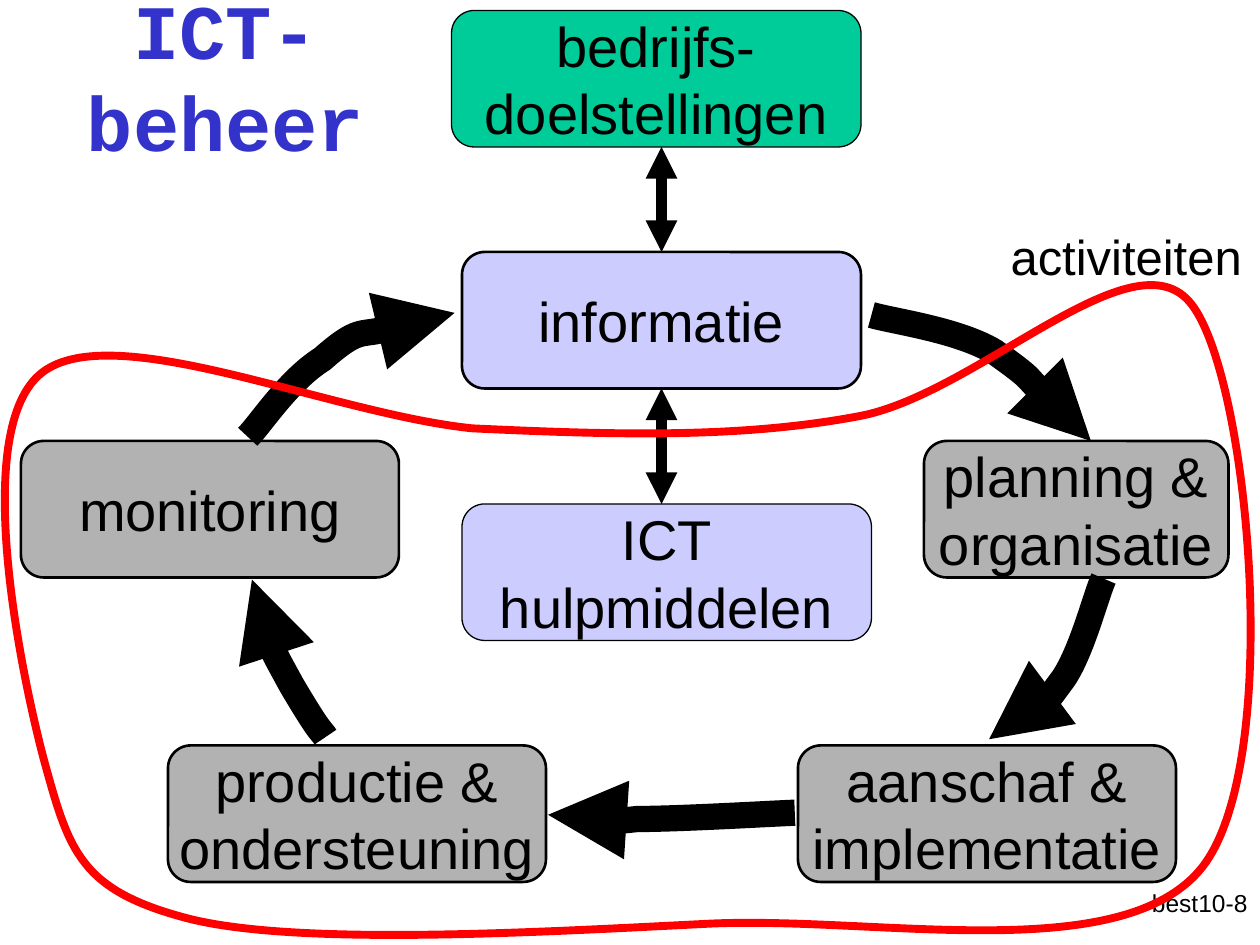
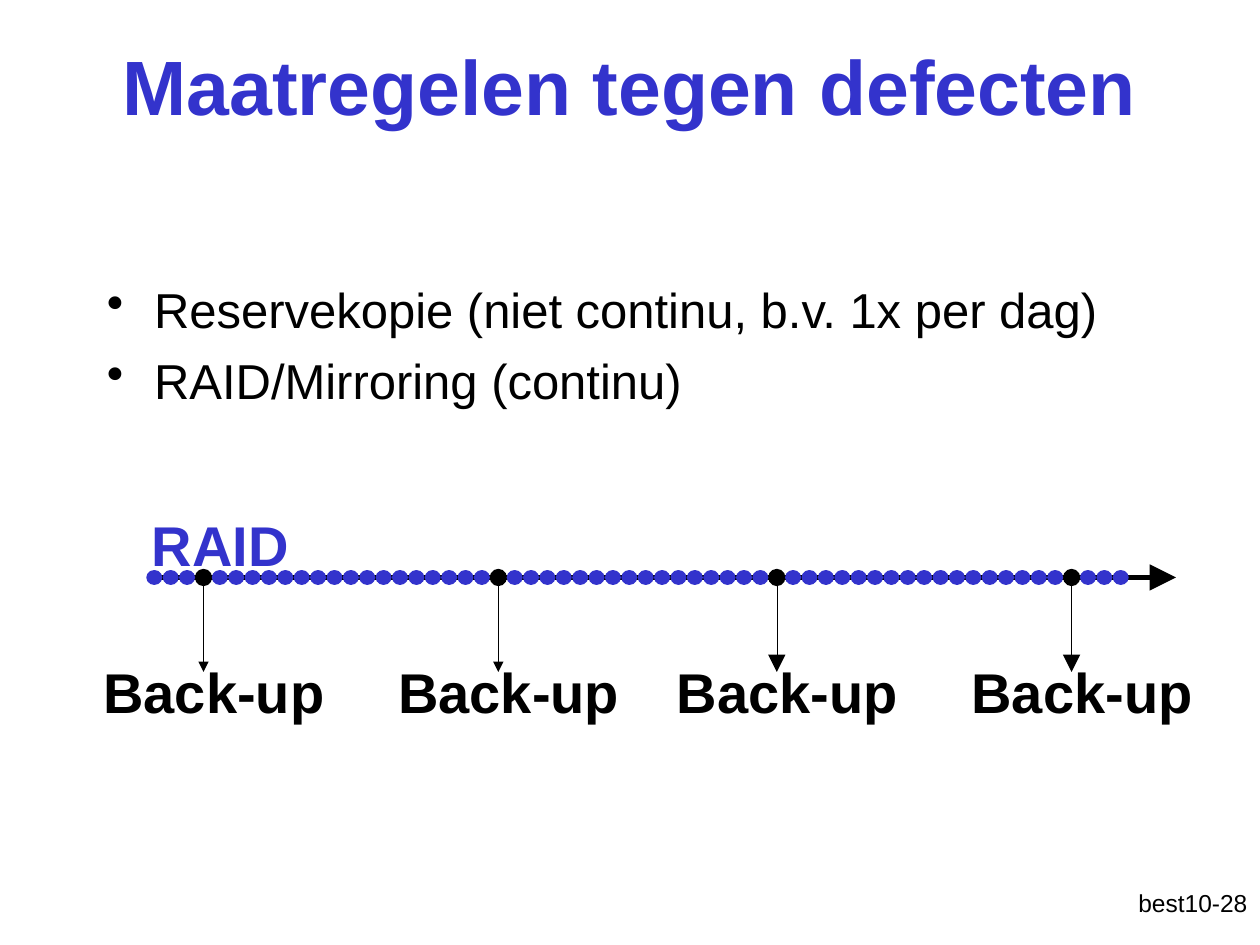
"""Builds two slides on ICT management and protection against defects."""
import dataclasses
import typing

import lxml.etree
import pptx
import pptx.dml.color
import pptx.enum.shapes
import pptx.enum.text
import pptx.oxml.ns
import pptx.util

COLUMNS, ROWS = 120, 90
CELL = pptx.util.Inches(10) // COLUMNS
FREEFORM_UNITS = 100
COLORS = {
    "text": "000000",
    "title": "3333CC",
    "goal": "00CC99",
    "resource": "CCCCFF",
    "activity": "B2B2B2",
    "boundary": "FF0000",
}
ALIGN = pptx.enum.text.PP_ALIGN
MIDDLE = pptx.enum.text.MSO_ANCHOR.MIDDLE
GROW = pptx.enum.text.MSO_AUTO_SIZE.SHAPE_TO_FIT_TEXT
SHAPES = pptx.enum.shapes.MSO_SHAPE
Point = tuple[float, float]


@dataclasses.dataclass(frozen=True)
class Area:
    """A rectangle in grid columns and rows."""
    column: float
    row: float
    width: float
    height: float

    def lengths(self) -> list[int]:
        """Return left, top, width and height as slide lengths."""
        return [round(value * CELL) for value in dataclasses.astuple(self)]


@dataclasses.dataclass(frozen=True)
class TextStyle:
    """Font and paragraph format of a text."""
    size: float
    color: str = "text"
    bold: bool = False
    font: str = "Arial"
    align: typing.Any = ALIGN.CENTER
    space_before: float = 0


@dataclasses.dataclass(frozen=True)
class Box:
    """A rounded box of the management cycle."""
    lines: tuple[str, ...]
    area: Area
    color: str
    line_width: float = 1.5


@dataclasses.dataclass(frozen=True)
class Curve:
    """A chain of Bezier segments: a start, then three points a segment."""
    points: tuple[Point, ...]
    color: str = "text"
    width: float = 15
    closed: bool = False


@dataclasses.dataclass(frozen=True)
class Backup:
    """A back-up moment that takes the place of one dot."""
    dot: int
    arrow_size: str


TITLE = TextStyle(44, "title", True)
FOOTER = TextStyle(14, align=ALIGN.RIGHT)
BOX_TEXT = TextStyle(32)
BULLET = TextStyle(28, align=ALIGN.LEFT, space_before=7)
CAPTION = TextStyle(28, space_before=17.5)
BACKUP_LABEL = TextStyle(32, bold=True, space_before=20)
RAID_LABEL = dataclasses.replace(BACKUP_LABEL, color="title")

INFORMATION = Box(("informatie",), Area(44, 24, 38, 13), "resource")
GOALS = Box(("bedrijfs-", "doelstellingen"), Area(43, 1, 39, 13), "goal", 0.75)
RESOURCES = Box(("ICT", "hulpmiddelen"), Area(44, 48, 39, 13), "resource", 0.75)
ACTIVITIES = (
    Box(("planning &", "organisatie"), Area(88, 42, 29, 13), "activity"),
    Box(("aanschaf &", "implementatie"), Area(76, 71, 36, 13), "activity"),
    Box(("productie &", "ondersteuning"), Area(16, 71, 36, 13), "activity"),
    Box(("monitoring",), Area(2, 42, 36, 13), "activity"),
)
CYCLE_ARROWS = (
    Curve(((83, 30), (85, 30.6), (91.2, 31.4), (94.7, 33.5),
           (98.5, 36.2), (102, 40.2), (103.9, 42))),
    Curve(((31, 70.2), (30.5, 69.4), (30.7, 70.2), (27.8, 65.3),
           (25, 60.2), (24.8, 57.2), (24, 55.2))),
    Curve(((23.6, 41.6), (24.8, 40.4), (27.5, 36.2), (30.7, 34.2),
           (34.2, 31.1), (40.7, 30.7), (43.3, 29.8))),
    Curve(((105.1, 55.1), (104.4, 56.6), (103.1, 61.9), (101.3, 64.6),
           (98.5, 68.4), (95.8, 69.2), (94.2, 70.4))),
    Curve(((75.7, 77.4), (73.2, 77.5), (64.7, 78), (60.7, 78),
           (56, 78.5), (54, 77.6), (52.2, 77.6))),
)
ACTIVITY_BOUNDARY = Curve((
    (45, 40.8), (58, 41.4), (70.1, 41.8), (81.5, 39.7),
    (92.9, 37.8), (108, 21.8), (113.5, 29),
    (119, 36.1), (122.3, 72.7), (114.5, 82.6),
    (106.8, 92.3), (83, 87.1), (67, 88),
    (50.9, 88.8), (28.4, 90.1), (18, 87.5),
    (7.6, 84.8), (6.6, 81.1), (4.2, 72.4),
    (1.9, 63.7), (-2.8, 40.8), (4, 35.5),
    (10.8, 30.2), (31.4, 39.4), (45, 40.8),
), "boundary", 4.5, True)

TIMELINE_ROW = 55
DOT_COUNT, DOT_START, DOT_STEP = 60, 14, 1.56
DOT_WIDTH, DOT_HEIGHT = 1.4, 1.3
BACKUPS = (Backup(3, "med"), Backup(21, "med"), Backup(38, "lg"), Backup(56, "lg"))


def rgb(name: str) -> pptx.dml.color.RGBColor:
    """Return a named colour."""
    return pptx.dml.color.RGBColor.from_string(COLORS[name])


def set_all(target: typing.Any, values: dict[str, typing.Any]) -> None:
    """Set each named attribute of the target."""
    for name, value in values.items():
        setattr(target, name, value)


def write(shape: typing.Any, lines: typing.Sequence[str], style: TextStyle,
          **frame_format: typing.Any) -> None:
    """Write one paragraph a line into a shape."""
    frame = shape.text_frame
    set_all(frame, {"word_wrap": True} | frame_format)
    frame.text = "\n".join(lines)
    for paragraph in frame.paragraphs:
        set_all(paragraph, {
            "alignment": style.align,
            "space_before": pptx.util.Pt(style.space_before),
        })
        set_all(paragraph.font, {
            "name": style.font,
            "size": pptx.util.Pt(style.size),
            "bold": style.bold,
        })
        paragraph.font.color.rgb = rgb(style.color)


def add_text(slide: typing.Any, lines: typing.Sequence[str], area: Area,
             style: TextStyle, **frame_format: typing.Any) -> typing.Any:
    """Add a text box."""
    shape = slide.shapes.add_textbox(*area.lengths())
    write(shape, lines, style, **frame_format)
    return shape


def add_bullets(slide: typing.Any, lines: typing.Sequence[str], area: Area) -> None:
    """Add a bulleted list with a hanging indent."""
    shape = add_text(slide, lines, area, BULLET)
    indent = round(4.5 * CELL)
    for paragraph in shape.text_frame.paragraphs:
        properties = paragraph._p.get_or_add_pPr()
        properties.set("marL", str(indent))
        properties.set("indent", str(-indent))
        bullet = lxml.etree.SubElement(properties, pptx.oxml.ns.qn("a:buChar"))
        bullet.set("char", "•")


def style_line(line: typing.Any, color: str, width: float) -> None:
    """Set the colour and width of a line."""
    line.color.rgb = rgb(color)
    line.width = pptx.util.Pt(width)


def add_arrowheads(shape: typing.Any, **ends: tuple[str, str]) -> None:
    """Give a line its heads, each a kind and a size."""
    line = shape.line._get_or_add_ln()
    for end, (kind, size) in ends.items():
        head = lxml.etree.SubElement(line, pptx.oxml.ns.qn(f"a:{end}"))
        for name, value in {"type": kind, "w": size, "len": size}.items():
            head.set(name, value)


def add_shape(slide: typing.Any, kind: typing.Any, area: Area, fill: str,
              line_color: str, line_width: float) -> typing.Any:
    """Add a filled preset shape without a shadow."""
    shape = slide.shapes.add_shape(kind, *area.lengths())
    shape.shadow.inherit = False
    shape.fill.solid()
    shape.fill.fore_color.rgb = rgb(fill)
    style_line(shape.line, line_color, line_width)
    return shape


def add_box(slide: typing.Any, box: Box) -> typing.Any:
    """Add a rounded box with its text."""
    shape = add_shape(slide, SHAPES.ROUNDED_RECTANGLE, box.area, box.color,
                      "text", box.line_width)
    write(shape, box.lines, BOX_TEXT, word_wrap=False, vertical_anchor=MIDDLE)
    return shape


def add_line(slide: typing.Any, start: Point, end: Point, width: float,
             **ends: tuple[str, str]) -> typing.Any:
    """Add a straight line with arrowheads."""
    connector = slide.shapes.add_connector(
        pptx.enum.shapes.MSO_CONNECTOR.STRAIGHT,
        *(round(value * CELL) for value in start + end))
    style_line(connector.line, "text", width)
    add_arrowheads(connector, **ends)
    lxml.etree.SubElement(connector.element.spPr, pptx.oxml.ns.qn("a:effectLst"))
    return connector


def add_curve(slide: typing.Any, curve: Curve) -> typing.Any:
    """Add an unfilled outline of Bezier segments."""
    points = [(x * FREEFORM_UNITS, y * FREEFORM_UNITS) for x, y in curve.points]
    builder = slide.shapes.build_freeform(*points[0], scale=CELL / FREEFORM_UNITS)
    builder.add_line_segments(points[1:], close=curve.closed)
    shape = builder.convert_to_shape()
    steps = list(shape.element.iter(pptx.oxml.ns.qn("a:lnTo")))
    for first in range(0, len(steps), 3):
        bezier = lxml.etree.Element(pptx.oxml.ns.qn("a:cubicBezTo"))
        steps[first].addprevious(bezier)
        for step in steps[first:first + 3]:
            bezier.append(step[0])
            step.getparent().remove(step)
    shape.shadow.inherit = False
    shape.fill.background()
    style_line(shape.line, curve.color, curve.width)
    return shape


def add_slide(presentation: typing.Any, title: str, title_area: Area,
              footer: str, title_font: str = "Arial") -> typing.Any:
    """Add a blank slide with its footer and title."""
    slide = presentation.slides.add_slide(presentation.slide_layouts[6])
    add_text(slide, [footer], Area(95, 84, 25, 6), FOOTER)
    add_text(slide, [title], title_area, dataclasses.replace(TITLE, font=title_font),
             vertical_anchor=MIDDLE)
    return slide


def build_management(presentation: typing.Any) -> None:
    """Build the slide with the management cycle."""
    slide = add_slide(presentation, "ICT-beheer", Area(0.5, -0.4, 42, 15),
                      "best10-8", "Courier New")
    for box in (GOALS, RESOURCES) + ACTIVITIES:
        add_box(slide, box)
    information = add_box(slide, INFORMATION)
    triangle = ("triangle", "med")
    for curve in CYCLE_ARROWS:
        add_arrowheads(add_curve(slide, curve), tailEnd=triangle)
    both_ends = {"headEnd": triangle, "tailEnd": triangle}
    add_line(slide, (63, 37), (63, 48), 6, **both_ends).begin_connect(information, 2)
    add_line(slide, (63, 14), (63, 24), 6, **both_ends).end_connect(information, 0)
    add_curve(slide, ACTIVITY_BOUNDARY)
    add_text(slide, ["activiteiten"], Area(80.8, 21, 52.9, 6.8), CAPTION, auto_size=GROW)


def build_measures(presentation: typing.Any) -> None:
    """Build the slide with the back-up timeline."""
    slide = add_slide(presentation, "Maatregelen tegen defecten",
                      Area(9, 0.6, 102, 15), "best10-28")
    add_bullets(slide, ["Reservekopie (niet continu, b.v. 1x per dag)",
                        "RAID/Mirroring (continu)"], Area(9, 26, 102, 18.5))
    add_line(slide, (14, TIMELINE_ROW), (112, TIMELINE_ROW), 3,
             tailEnd=("triangle", "lg"))
    for backup in BACKUPS:
        center = DOT_START + backup.dot * DOT_STEP + DOT_WIDTH / 2
        add_line(slide, (center, TIMELINE_ROW), (center, TIMELINE_ROW + 9), 0.25,
                 headEnd=("oval", "lg"), tailEnd=("triangle", backup.arrow_size))
        add_text(slide, ["Back-up"], Area(center - 12, 62, 26, 7.7), BACKUP_LABEL,
                 auto_size=GROW)
    for dot in set(range(DOT_COUNT)) - {backup.dot for backup in BACKUPS}:
        area = Area(DOT_START + dot * DOT_STEP, TIMELINE_ROW - DOT_HEIGHT / 2,
                    DOT_WIDTH, DOT_HEIGHT)
        add_shape(slide, SHAPES.OVAL, area, "title", "title", 0.75)
    add_text(slide, ["RAID"], Area(10, 48, 22, 7.7), RAID_LABEL, auto_size=GROW)


def main() -> None:
    """Build and save the presentation."""
    presentation = pptx.Presentation()
    set_all(presentation, {"slide_width": COLUMNS * CELL, "slide_height": ROWS * CELL})
    build_management(presentation)
    build_measures(presentation)
    presentation.save("out.pptx")


if __name__ == "__main__":
    main()
